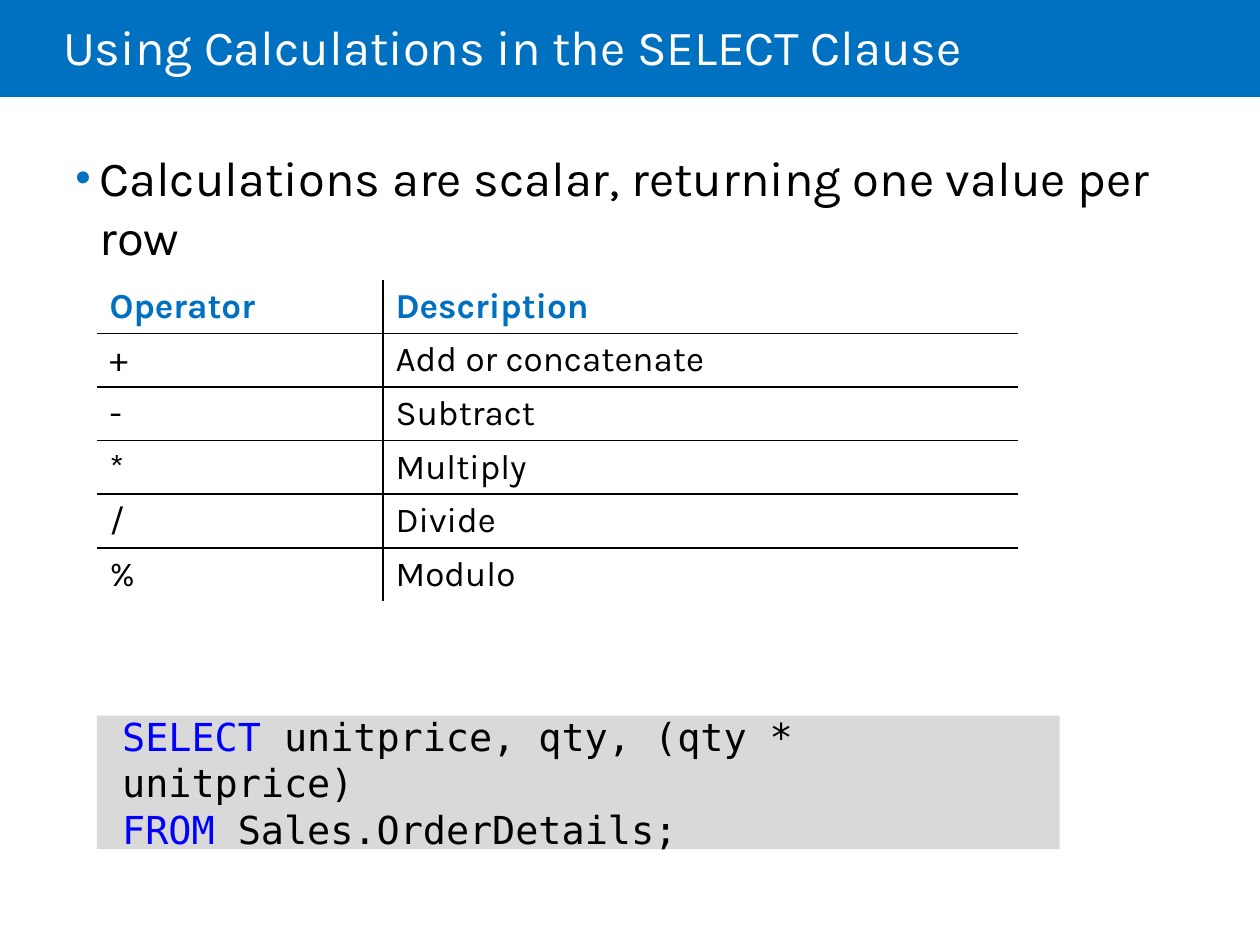
from lxml.etree import SubElement
from pptx import Presentation
from pptx.dml.color import RGBColor
from pptx.enum.shapes import MSO_SHAPE
from pptx.enum.text import MSO_ANCHOR, MSO_AUTO_SIZE, PP_ALIGN
from pptx.oxml.ns import qn
from pptx.util import Inches, Pt

BLUE, BLACK, WHITE, GRAY, KEY = "0070C0", "000000", "FFFFFF", "D9D9D9", "0000FF"
SANS, MONO = "Karla", "DejaVu Sans Mono"


def color(code):
    return RGBColor.from_string(code)


def assign(item, values):
    for name, value in values.items():
        setattr(item, name, value)


def node(parent, tag, **attrs):
    return SubElement(parent, qn(tag), attrs)


class Page:
    def __init__(self, deck):
        self.slide = deck.slides.add_slide(deck.slide_layouts[5])
        self.shapes = self.slide.shapes

    def place(self, shape, box):
        assign(shape, dict(zip(("left", "top", "width", "height"), map(Inches, box))))

    def frame(self, shape, sides, anchor=MSO_ANCHOR.MIDDLE):
        frame = shape.text_frame
        assign(frame, {
            "word_wrap": True, "auto_size": MSO_AUTO_SIZE.NONE,
            "vertical_anchor": anchor,
            "margin_left": Inches(sides[0]), "margin_right": Inches(sides[1]),
            "margin_top": Inches(0.05), "margin_bottom": Inches(0.05),
        })
        return frame

    def text(self, para, words, size, tint, font=SANS, bold=False):
        para.alignment = PP_ALIGN.LEFT
        run = para.add_run()
        run.text = words
        assign(run.font, {"size": Pt(size), "name": font, "bold": bold})
        run.font.color.rgb = color(tint)

    def rect(self, box, fill):
        shape = self.shapes.add_shape(MSO_SHAPE.RECTANGLE, *map(Inches, box))
        shape.shadow.inherit = False
        shape.fill.solid()
        shape.fill.fore_color.rgb = color(fill)
        shape.line.fill.background()
        return shape

    def title(self, words, box):
        shape = self.shapes.title
        self.place(shape, box)
        # Bring the title in front of the band
        self.shapes._spTree.append(shape._element)
        para = self.frame(shape, (0, 0.1)).paragraphs[0]
        para.line_spacing = 0.85
        self.text(para, words, 28, WHITE)

    def bullet(self, words, box):
        shape = self.shapes.add_textbox(*map(Inches, box))
        para = self.frame(shape, (0.1, 0.1), MSO_ANCHOR.TOP).paragraphs[0]
        self.text(para, words, 28, BLACK)
        para.space_before = Pt(6)
        props = para._p.get_or_add_pPr()
        props.set("marL", str(Inches(0.19)))
        props.set("indent", str(-Inches(0.19)))
        node(node(props, "a:buClr"), "a:srgbClr", val=BLUE)
        node(props, "a:buSzPct", val="90000")
        node(props, "a:buFont", typeface="Arial")
        node(props, "a:buChar", char="•")

    def code(self, lines, box):
        frame = self.frame(self.rect(box, GRAY), (0.2, 0.2))
        for i, (word, rest) in enumerate(lines):
            para = frame.add_paragraph() if i else frame.paragraphs[0]
            self.text(para, word, 22, KEY, MONO)
            self.text(para, rest, 22, BLACK, MONO)

    def edge(self, cell, side, shown):
        line = node(cell._tc.get_or_add_tcPr(), f"a:ln{side}", w=str(Pt(1)))
        if shown:
            node(node(line, "a:solidFill"), "a:srgbClr", val=BLACK)
        else:
            node(line, "a:noFill")

    def table(self, rows, widths, box):
        table = self.shapes.add_table(len(rows), len(widths), *map(Inches, box)).table
        assign(table, {"first_row": False, "horz_banding": False})
        for col, width in zip(table.columns, widths):
            col.width = Inches(width)
        for r, row in enumerate(rows):
            for c, words in enumerate(row):
                cell = table.cell(r, c)
                self.text(cell.text_frame.paragraphs[0], words, 20,
                          BLACK if r else BLUE, bold=r == 0)
                # Rules run only between cells
                inner = {"L": c > 0, "R": c < len(row) - 1,
                         "T": r > 0, "B": r < len(rows) - 1}
                for side, shown in inner.items():
                    self.edge(cell, side, shown)
                cell.fill.solid()
                cell.fill.fore_color.rgb = color(WHITE)


def main():
    deck = Presentation()
    assign(deck, {"slide_width": Inches(10), "slide_height": Inches(7.5)})
    page = Page(deck)

    # Header band and title
    page.rect((0, 0, 10, 0.77), BLUE)
    page.title("Using Calculations in the SELECT Clause", (0.5, 0, 8.5, 0.81))

    # Main point
    page.bullet("Calculations are scalar, returning one value per row",
                (0.5, 1.12, 8.88, 5.63))

    # Sample query
    page.code([("SELECT", " unitprice, qty, (qty * unitprice)"),
               ("FROM", " Sales.OrderDetails;")], (0.77, 5.68, 7.64, 1.06))

    # Operators
    page.table([("Operator", "Description"), ("+", "Add or concatenate"),
                ("-", "Subtract"), ("*", "Multiply"), ("/", "Divide"),
                ("%", "Modulo")], (2.27, 5.04), (0.77, 2.22, 7.31, 2.34))

    deck.save("out.pptx")


if __name__ == "__main__":
    main()
